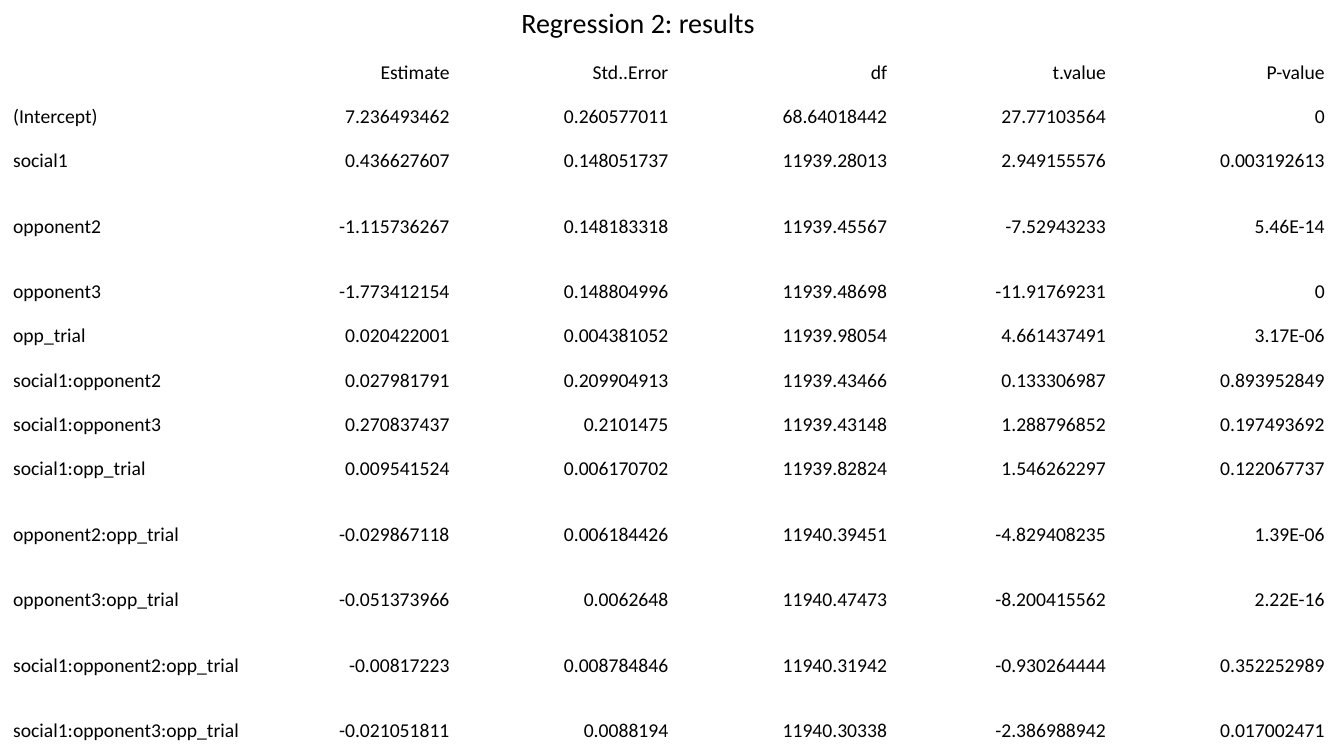
from typing import NamedTuple

from lxml import etree
from pptx import Presentation
from pptx.dml.color import RGBColor
from pptx.enum.text import MSO_ANCHOR, MSO_AUTO_SIZE, PP_ALIGN
from pptx.oxml.ns import qn
from pptx.util import Inches, Pt

LEFT, RIGHT = PP_ALIGN.LEFT, PP_ALIGN.RIGHT
TOP, BOTTOM = MSO_ANCHOR.TOP, MSO_ANCHOR.BOTTOM
FIT_SHAPE = MSO_AUTO_SIZE.SHAPE_TO_FIT_TEXT

COLORS = {"text": "000000", "background": "FFFFFF"}
FONT = "Calibri"
TITLE_ONLY = 5
COL_WIDTHS = [2.36, 1.99] + [2.17] * 4
HEADER_HEIGHT, ROW_HEIGHT, TALL_HEIGHT = 0.24, 0.44, 0.65


class Row(NamedTuple):
    term: str
    estimate: str
    std_error: str
    df: str
    t_value: str
    p_value: str


HEADER = Row("", "Estimate", "Std..Error", "df", "t.value", "P-value")
RESULTS = [
    Row("(Intercept)", "7.236493462", "0.260577011", "68.64018442", "27.77103564", "0"),
    Row("social1", "0.436627607", "0.148051737", "11939.28013", "2.949155576", "0.003192613"),
    Row("opponent2", "-1.115736267", "0.148183318", "11939.45567", "-7.52943233", "5.46E-14"),
    Row("opponent3", "-1.773412154", "0.148804996", "11939.48698", "-11.91769231", "0"),
    Row("opp_trial", "0.020422001", "0.004381052", "11939.98054", "4.661437491", "3.17E-06"),
    Row("social1:opponent2", "0.027981791", "0.209904913", "11939.43466", "0.133306987", "0.893952849"),
    Row("social1:opponent3", "0.270837437", "0.2101475", "11939.43148", "1.288796852", "0.197493692"),
    Row("social1:opp_trial", "0.009541524", "0.006170702", "11939.82824", "1.546262297", "0.122067737"),
    Row("opponent2:opp_trial", "-0.029867118", "0.006184426", "11940.39451", "-4.829408235", "1.39E-06"),
    Row("opponent3:opp_trial", "-0.051373966", "0.0062648", "11940.47473", "-8.200415562", "2.22E-16"),
    Row("social1:opponent2:opp_trial", "-0.00817223", "0.008784846", "11940.31942", "-0.930264444", "0.352252989"),
    Row("social1:opponent3:opp_trial", "-0.021051811", "0.0088194", "11940.30338", "-2.386988942", "0.017002471"),
]


def write_text(tf, text: str, *, size: int, align=LEFT) -> None:
    p = tf.paragraphs[0]
    p.alignment = align
    if not text:
        # An empty cell still takes its line height from the paragraph end.
        etree.SubElement(p._p, qn("a:endParaRPr"), sz=str(size * 100))
        return
    r = p.add_run()
    r.text = text
    r.font.name = FONT
    r.font.size = Pt(size)
    r.font.bold = False
    r.font.color.rgb = RGBColor.from_string(COLORS["text"])


def row_height(row: Row) -> float:
    """Rows with a negative estimate are taller."""
    return TALL_HEIGHT if row.estimate.startswith("-") else ROW_HEIGHT


def add_title(s, text: str) -> None:
    title = s.shapes.title
    title.left, title.top = Inches(5.07), Inches(0)
    title.width, title.height = Inches(2.54), Inches(0.44)
    tf = title.text_frame
    tf.word_wrap = False
    tf.auto_size = FIT_SHAPE
    tf.vertical_anchor = TOP
    write_text(tf, text, size=20)


def add_results_table(s, rows: list[Row]) -> None:
    heights = [HEADER_HEIGHT] + [row_height(row) for row in rows[1:]]
    table = s.shapes.add_table(
        len(rows), len(COL_WIDTHS), Inches(0.12), Inches(0.59),
        Inches(sum(COL_WIDTHS)), Inches(sum(heights))).table
    table.horz_banding = False
    for column, width in zip(table.columns, COL_WIDTHS):
        column.width = Inches(width)
    for i, (row, height) in enumerate(zip(rows, heights)):
        table.rows[i].height = Inches(height)
        for j, text in enumerate(row):
            cell = table.cell(i, j)
            cell.fill.background()
            cell.vertical_anchor = BOTTOM
            cell.margin_left = cell.margin_right = cell.margin_top = Inches(0.01)
            cell.margin_bottom = Inches(0)
            write_text(cell.text_frame, text, size=14, align=RIGHT if j else LEFT)


def main() -> None:
    prs = Presentation()
    prs.slide_width, prs.slide_height = Inches(13.33), Inches(7.5)
    s = prs.slides.add_slide(prs.slide_layouts[TITLE_ONLY])
    s.background.fill.solid()
    s.background.fill.fore_color.rgb = RGBColor.from_string(COLORS["background"])
    add_title(s, "Regression 2: results")
    add_results_table(s, [HEADER] + RESULTS)
    prs.save("out.pptx")


if __name__ == "__main__":
    main()
